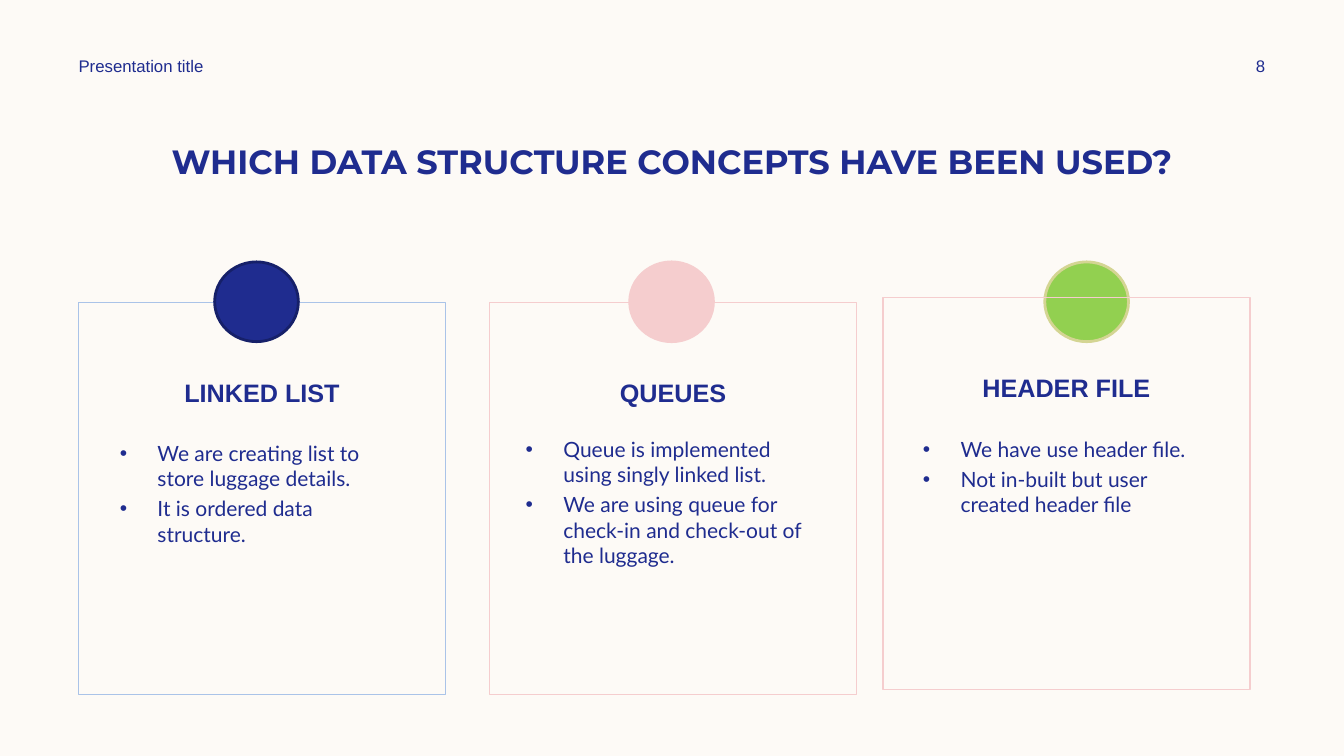
"""Build the slide on the data structure concepts used in the project."""
from lxml.etree import SubElement
from pptx import Presentation
from pptx.dml.color import RGBColor as Rgb
from pptx.enum.shapes import MSO_SHAPE as Shape
from pptx.enum.text import MSO_ANCHOR as Anchor, PP_ALIGN as Align
from pptx.oxml.ns import qn
from pptx.util import Cm, Pt

COLORS = {
    "paper": "FDFAF6", "navy": "1F2C8F", "navy_edge": "162069", "sky": "AAC3E8",
    "pink": "F5CDCE", "green": "92D050", "olive": "D4D593",
}
INSET_X, INSET_Y = Cm(0.25), Cm(0.13)


def write(holder, lines, font, size, bold=False, align=Align.LEFT, anchor=Anchor.TOP, top=INSET_Y):
    frame = holder.text_frame
    frame.word_wrap = True
    frame.vertical_anchor = anchor
    frame.margin_left = frame.margin_right = INSET_X
    frame.margin_top, frame.margin_bottom = top, INSET_Y
    for index, line in enumerate(lines):
        paragraph = frame.add_paragraph() if index else frame.paragraphs[0]
        paragraph.alignment = align
        run = paragraph.add_run()
        run.text = line
        run.font.name, run.font.size, run.font.bold = font, Pt(size), bold
        run.font.color.rgb = Rgb.from_string(COLORS["navy"])
    return frame.paragraphs


def draw(kind, box, edge, width, fill=None):
    figure = slide.shapes.add_shape(kind, *map(Cm, box))
    figure.shadow.inherit = False
    figure.line.color.rgb = Rgb.from_string(COLORS[edge])
    figure.line.width = Pt(width)
    if fill:
        figure.fill.solid()
        figure.fill.fore_color.rgb = Rgb.from_string(COLORS[fill])
    else:
        figure.fill.background()
    return figure


deck = Presentation()
deck.slide_width, deck.slide_height = Cm(33.87), Cm(19.05)
slide = deck.slides.add_slide(deck.slide_layouts[6])
slide.background.fill.solid()
slide.background.fill.fore_color.rgb = Rgb.from_string(COLORS["paper"])

labels = [
    ((2.11, 3.43, 29.64, 2.13), "WHICH DATA STRUCTURE CONCEPTS HAVE BEEN USED?",
     "Montserrat", 24, True, Align.CENTER, Anchor.TOP),
    ((1.73, 1.27, 8.89, 0.76), "Presentation title", "Arial", 12, False, Align.LEFT, Anchor.MIDDLE),
    ((30.4, 1.27, 2.74, 0.76), "8", "Arial", 12, False, Align.CENTER, Anchor.MIDDLE),
]
for box, words, *style in labels:
    write(slide.shapes.add_textbox(*map(Cm, box)), [words], *style)

concepts = [
    ("LINKED LIST", (1.98, 7.62), "sky", (2.77, 10.97),
     ["We are creating list to store luggage details.", "It is ordered data structure."]),
    ("QUEUES", (12.34, 7.62), "pink", (13, 10.87),
     ["Queue is implemented using singly linked list.",
      "We are using queue for check-in and check-out of the luggage."]),
    ("HEADER FILE", (22.25, 7.49), "pink", (23.01, 10.87),
     ["We have use header file.", "Not in-built but user created header file"]),
]
circles = [("navy", "navy_edge"), ("pink", "pink"), ("green", "olive")]

for column, (heading, corner, edge, notes_corner, points) in enumerate(concepts):
    if heading == "HEADER FILE":
        for place, (fill, rim) in enumerate(circles):
            draw(Shape.OVAL, (5.41 + 10.46 * place, 6.6, 2.11, 2.01), rim, 2, fill)
    card = draw(Shape.RECTANGLE, (*corner, 9.25, 9.88), edge, 1)
    write(card, [heading], "Arial", 18, True, Align.CENTER, top=Cm(1.9))

    notes = slide.shapes.add_textbox(*map(Cm, (*notes_corner, 7.7, 6.12)))
    for point in write(notes, points, "Lato", 15):
        point.space_before = Pt(3.6)
        layout = point._p.get_or_add_pPr()
        layout.set("marL", str(Cm(0.95)))
        layout.set("indent", str(-Cm(0.95)))
        SubElement(layout, qn("a:buFont"), typeface="Arial")
        SubElement(layout, qn("a:buChar"), char="•")

deck.save("out.pptx")
